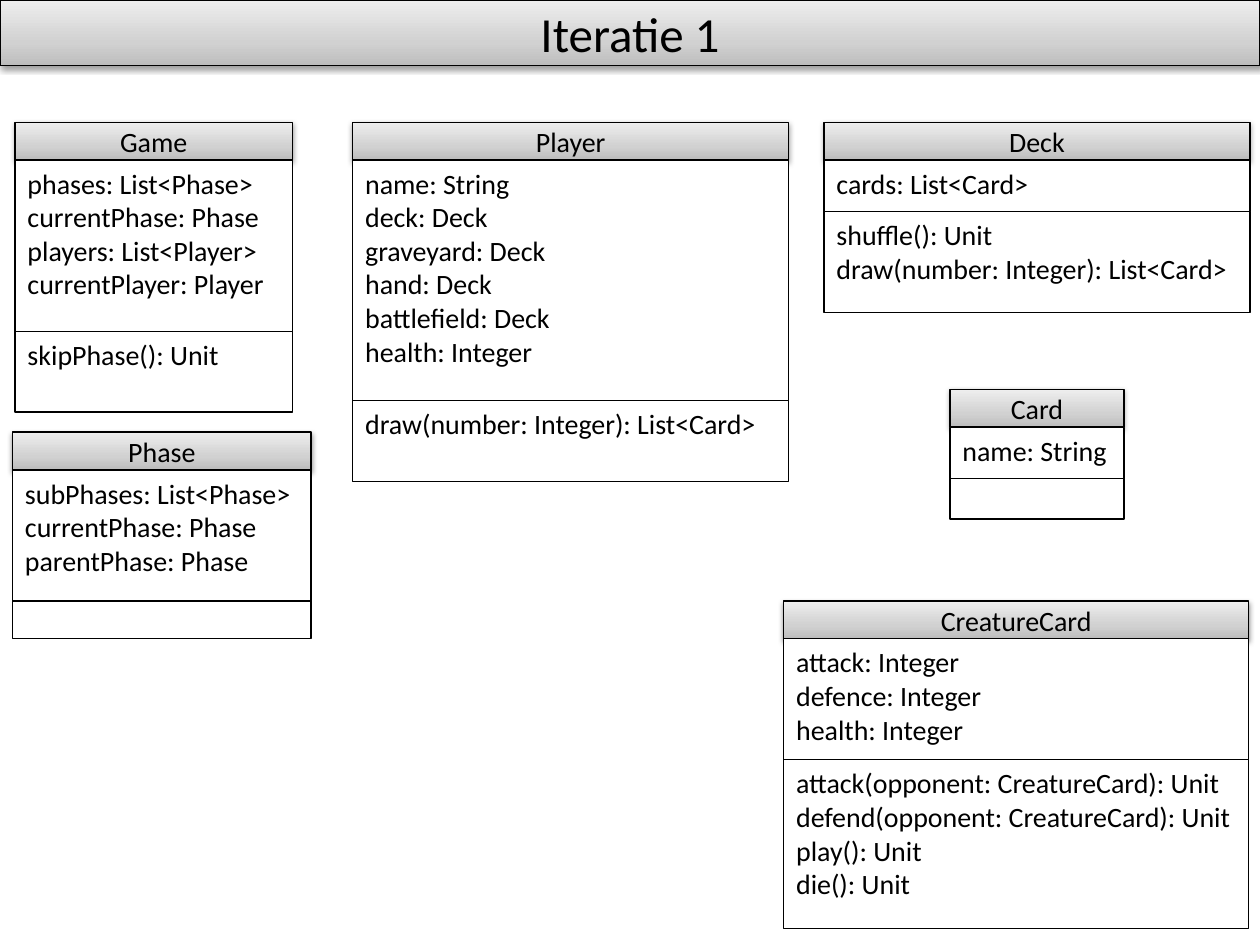
import copy

import pptx
import pptx.dml.color
import pptx.enum.shapes
import pptx.enum.text
import pptx.oxml
import pptx.oxml.ns
import pptx.util

Inches = pptx.util.Inches
Pt = pptx.util.Pt
RGBColor = pptx.dml.color.RGBColor
Anchor = pptx.enum.text.MSO_ANCHOR
Align = pptx.enum.text.PP_ALIGN

BLACK = RGBColor(0x00, 0x00, 0x00)
WHITE = RGBColor(0xFF, 0xFF, 0xFF)
STOPS = [
    (0, RGBColor(0xBD, 0xBD, 0xBD)),
    (0.35, RGBColor(0xD1, 0xD1, 0xD1)),
    (1, RGBColor(0xEE, 0xEE, 0xEE)),
]
FONT = "Calibri"
HEAD = 0.3

CLASSES = [
    ("Player", 2.8, 0.97, 3.46, 1.91, 0.64,
     ["name: String", "deck: Deck", "graveyard: Deck", "hand: Deck",
      "battlefield: Deck", "health: Integer"],
     ["draw(number: Integer): List<Card>"]),
    ("Card", 7.54, 3.09, 1.38, 0.41, 0.32, ["name: String"], []),
    ("Deck", 6.54, 0.97, 3.38, 0.41, 0.8,
     ["cards: List<Card>"],
     ["shuffle(): Unit", "draw(number: Integer): List<Card>"]),
    ("Game", 0.12, 0.97, 2.2, 1.36, 0.64,
     ["phases: List<Phase>", "currentPhase: Phase",
      "players: List<Player>", "currentPlayer: Player"],
     ["skipPhase(): Unit"]),
    ("CreatureCard", 6.22, 4.77, 3.69, 0.96, 1.34,
     ["attack: Integer", "defence: Integer", "health: Integer"],
     ["attack(opponent: CreatureCard): Unit",
      "defend(opponent: CreatureCard): Unit",
      "play(): Unit", "die(): Unit"]),
    ("Phase", 0.1, 3.43, 2.37, 1.04, 0.3,
     ["subPhases: List<Phase>", "currentPhase: Phase",
      "parentPhase: Phase"], []),
]


def write(shape, lines, size, align, anchor):
    frame = shape.text_frame
    frame.word_wrap = True
    frame.auto_size = pptx.enum.text.MSO_AUTO_SIZE.NONE
    frame.vertical_anchor = anchor
    for i, line in enumerate(lines):
        para = frame.add_paragraph() if i else frame.paragraphs[0]
        para.alignment = align
        run = para.add_run()
        run.text = line
        run.font.name = FONT
        run.font.size = Pt(size)
        run.font.color.rgb = BLACK


def outline(shape):
    shape.line.color.rgb = BLACK
    shape.line.width = Pt(0.75)
    shape.shadow.inherit = False


def shade(shape):
    fill = shape.fill
    fill.gradient()
    fill.gradient_angle = 90
    first = shape._element.spPr.find(".//" + pptx.oxml.ns.qn("a:gs"))
    first.addnext(copy.deepcopy(first))
    for stop, (pos, color) in zip(fill.gradient_stops, STOPS):
        stop.position = pos
        stop.color.rgb = color


def drop(shape):
    effects = shape._element.spPr.find(pptx.oxml.ns.qn("a:effectLst"))
    effects.append(pptx.oxml.parse_xml(
        f'<a:outerShdw {pptx.oxml.ns.nsdecls("a")} blurRad="{Pt(3.1)}" '
        f'dist="{Pt(1.6)}" dir="5400000" rotWithShape="0">'
        '<a:srgbClr val="000000"><a:alpha val="38000"/></a:srgbClr>'
        '</a:outerShdw>'))


def header(shape, text, size):
    shade(shape)
    outline(shape)
    drop(shape)
    write(shape, [text], size, Align.CENTER, Anchor.MIDDLE)


def box(group, left, top, width, height):
    return group.shapes.add_shape(
        pptx.enum.shapes.MSO_SHAPE.RECTANGLE,
        Inches(left), Inches(top), Inches(width), Inches(height))


def members(group, left, top, width, height, lines):
    shape = box(group, left, top, width, height)
    shape.fill.solid()
    shape.fill.fore_color.rgb = WHITE
    outline(shape)
    write(shape, lines, 16, Align.LEFT, Anchor.TOP)


def diagram(slide, name, left, top, width, high, low, fields, methods):
    group = slide.shapes.add_group_shape()
    header(box(group, left, top, width, HEAD), name, 16)
    members(group, left, top + HEAD, width, high, fields)
    members(group, left, top + HEAD + high, width, low, methods)


def banner(slide, text):
    title = slide.shapes.title
    title.left, title.top = Inches(0), Inches(0)
    title.width, title.height = Inches(10), Inches(0.52)
    header(title, text, 28)


def main():
    deck = pptx.Presentation()
    deck.slide_width = Inches(10)
    deck.slide_height = Inches(7.5)
    slide = deck.slides.add_slide(deck.slide_layouts[5])
    for item in CLASSES:
        diagram(slide, *item)
    banner(slide, "Iteratie 1")
    deck.save("out.pptx")


if __name__ == "__main__":
    main()
